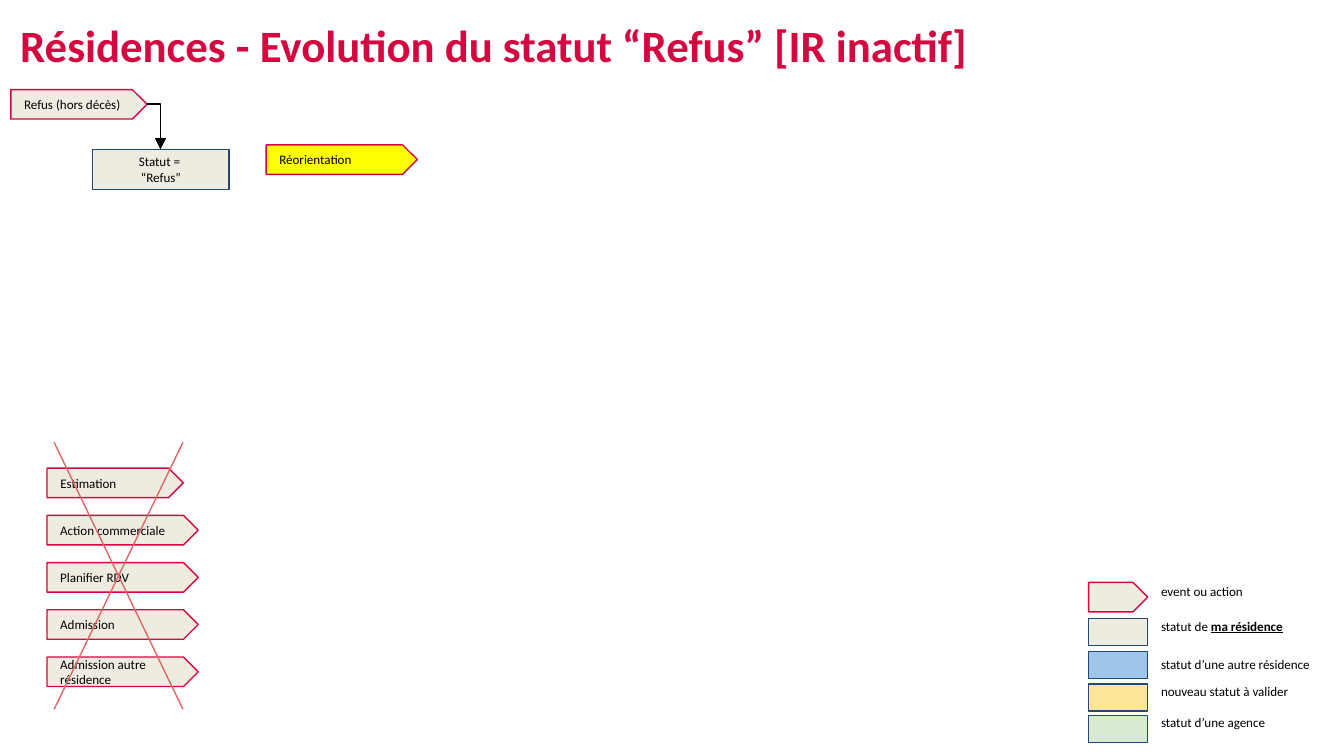
from lxml import etree
from pptx import Presentation
from pptx.dml.color import RGBColor
from pptx.enum.shapes import MSO_CONNECTOR, MSO_SHAPE
from pptx.enum.text import MSO_ANCHOR, PP_ALIGN
from pptx.oxml.ns import qn
from pptx.util import Pt

PLATE, RECT = MSO_SHAPE.PENTAGON, MSO_SHAPE.RECTANGLE
STRAIGHT, ELBOW = MSO_CONNECTOR.STRAIGHT, MSO_CONNECTOR.ELBOW
LEFT, CENTER = PP_ALIGN.LEFT, PP_ALIGN.CENTER
TOP, MIDDLE = MSO_ANCHOR.TOP, MSO_ANCHOR.MIDDLE
FONT = "Calibri"
RED, NAVY, BLACK, CROSS = "D40740", "1F497D", "000000", "E06666"
BEIGE, YELLOW = "EEECE1", "FFFF00"
PLATE_H = 15.8

# Content
TITLE = "Résidences - Evolution du statut “Refus” [IR inactif]"
START = "Refus (hors décès)"
STATUS = "Statut =\u00a0\n“Refus”"
REDIRECT = "Réorientation"
# Crossed-out actions: text, width
ACTIONS = [
    ("Estimation", 73),
    ("Action commerciale", 81),
    ("Planifier RDV", 81),
    ("Admission", 81),
    ("Admission autre résidence", 81),
]
# Legend: kind, fill, line, key top, key height, label top, label width, plain text, strong text
LEGEND = [
    (PLATE, BEIGE, RED, 312, PLATE_H, 308.2, 111.6, "event ou action", ""),
    (RECT, BEIGE, NAVY, 331.5, 14.4, 327, 92.2, "statut de ", "ma résidence"),
    (RECT, "9FC5E8", NAVY, 349.2, 14.4, 347.5, 111.6, "statut d’une autre résidence", ""),
    (RECT, "FFE599", NAVY, 366.5, 14.4, 361.7, 95, "nouveau statut à valider", ""),
    (RECT, "D9EAD3", NAVY, 383.5, 14.4, 378.7, 95, "statut d’une agence", ""),
]


def color(value):
    return RGBColor.from_string(value)


def style(p, size=7, value=BLACK):
    for r in p.runs:
        r.font.size, r.font.name = Pt(size), FONT
        r.font.color.rgb = color(value)


def frame(sp, anchor, inset=7.2):
    tf = sp.text_frame
    tf.word_wrap = True
    tf.vertical_anchor = anchor
    tf.margin_left = tf.margin_right = Pt(7.2)
    tf.margin_top = tf.margin_bottom = Pt(inset)
    return tf


def box(kind, x, y, w, h, fill, line, text="", align=LEFT):
    sp = s.shapes.add_shape(kind, Pt(x), Pt(y), Pt(w), Pt(h))
    sp.shadow.inherit = False
    sp.fill.solid()
    sp.fill.fore_color.rgb = color(fill)
    sp.line.color.rgb = color(line)
    sp.line.width = Pt(0.75)
    if text:
        tf = frame(sp, MIDDLE)
        tf.text = text
        for p in tf.paragraphs:
            p.alignment = align
            style(p)


def connect(kind, x1, y1, x2, y2, value, arrow=False):
    line = s.shapes.add_connector(kind, Pt(x1), Pt(y1), Pt(x2), Pt(y2))
    line.line.color.rgb = color(value)
    line.line.width = Pt(0.75)
    if arrow:
        etree.SubElement(line.line._get_or_add_ln(), qn("a:tailEnd"), type="triangle")
    etree.SubElement(line._element.spPr, qn("a:effectLst"))
    return line


prs = Presentation()
prs.slide_width, prs.slide_height = Pt(720), Pt(405)
s = prs.slides.add_slide(prs.slide_layouts[5])

# Title
title = s.shapes.title
title.left, title.top, title.width, title.height = Pt(3.6), Pt(0.7), Pt(659), Pt(50.4)
tf = frame(title, MIDDLE, 3.6)
tf.text = TITLE
p = tf.paragraphs[0]
p.alignment, p.line_spacing = LEFT, 0.9
style(p, 24, RED)
p.runs[0].font.bold = True

# Status flow
box(RECT, 49.7, 80, 73, 21.6, BEIGE, NAVY, STATUS, CENTER)
box(PLATE, 5.8, 48, 73, PLATE_H, BEIGE, RED, START)
box(PLATE, 142.6, 77.6, 81, PLATE_H, YELLOW, RED, REDIRECT)
elbow = connect(ELBOW, 78.8, 55.8, 86, 80, BLACK)
elbow._element.spPr.find(qn("a:prstGeom")).set("prst", "bentConnector2")
connect(STRAIGHT, 86, 70.5, 86, 80, BLACK, arrow=True)

# Crossed-out actions
for i, (text, w) in enumerate(ACTIONS):
    box(PLATE, 25.2, 250.8 + i * 25.3, w, PLATE_H, BEIGE, RED, text)
for top, bottom in ((237, 380), (380, 237)):
    connect(STRAIGHT, 98, top, 29, bottom, CROSS)

# Legend
for kind, fill, line, y, h, label_y, w, plain, strong in LEGEND:
    box(kind, 583.2, y, 31.7, h, fill, line)
    label = s.shapes.add_textbox(Pt(614.9), Pt(label_y), Pt(w), Pt(23))
    p = frame(label, TOP).paragraphs[0]
    p.text = plain
    if strong:
        r = p.add_run()
        r.text = strong
        r.font.bold = r.font.underline = True
    style(p)

prs.save("out.pptx")
